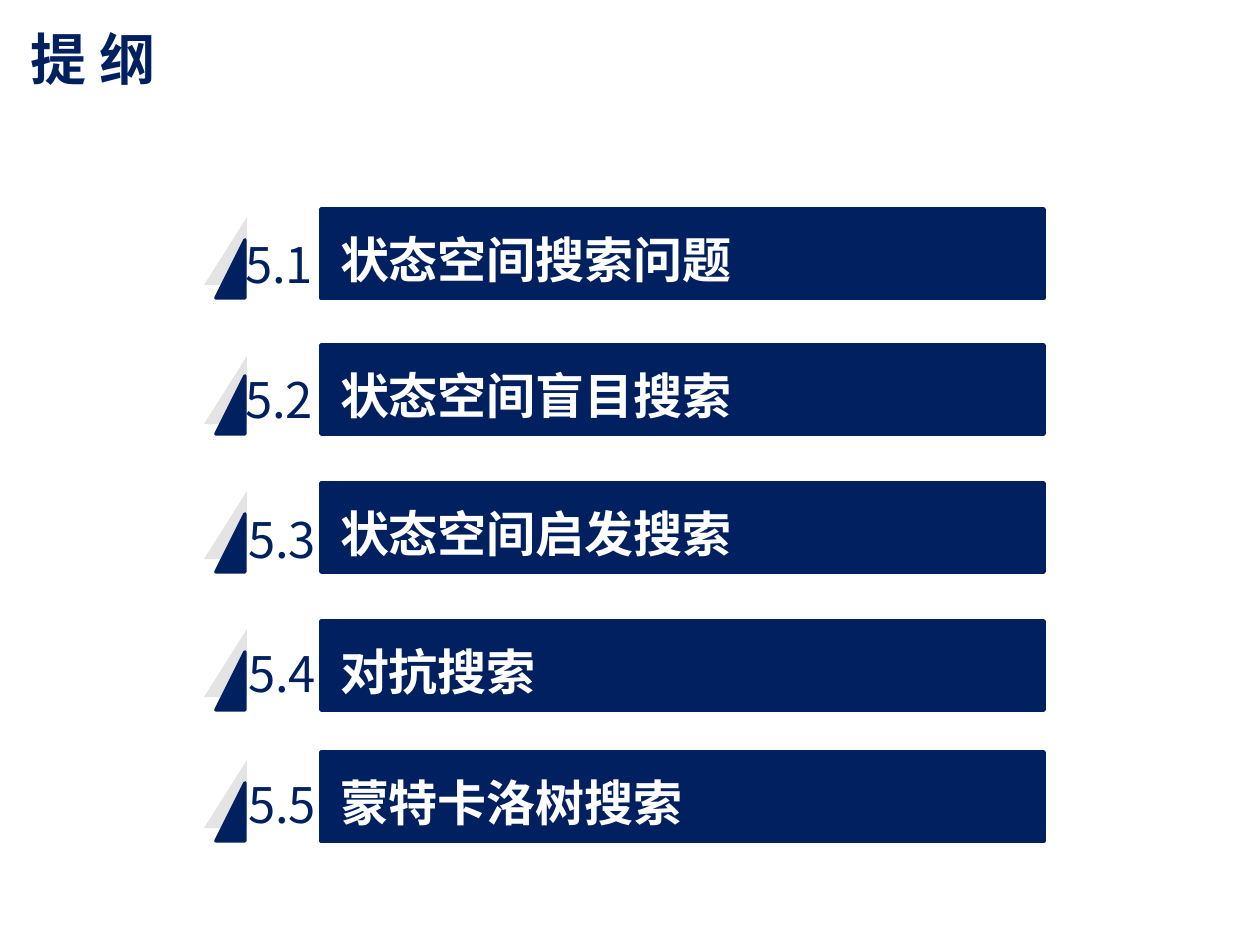
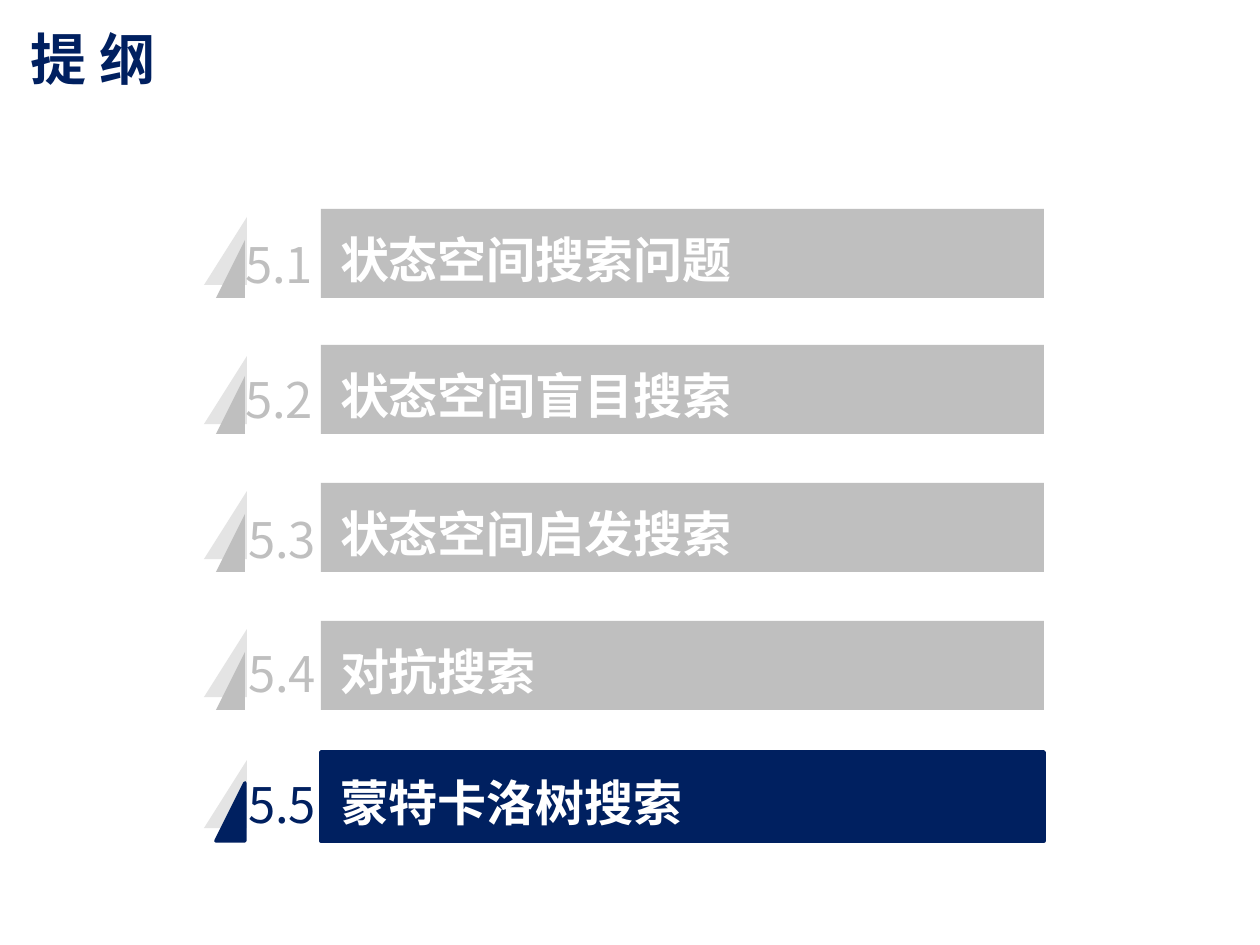
from dataclasses import dataclass

from lxml import etree
from pptx import Presentation
from pptx.dml.color import RGBColor
from pptx.enum.text import MSO_ANCHOR, PP_ALIGN
from pptx.oxml.ns import qn
from pptx.util import Pt

PX = 914400 / 126  # EMU in one pixel
MIDDLE = MSO_ANCHOR.MIDDLE
LEFT, CENTER = PP_ALIGN.LEFT, PP_ALIGN.CENTER


@dataclass(frozen=True)
class Theme:
    navy: RGBColor = RGBColor(0x00, 0x20, 0x60)
    muted: RGBColor = RGBColor(0xBF, 0xBF, 0xBF)
    shade: RGBColor = RGBColor(0xE4, 0xE4, 0xE4)
    white: RGBColor = RGBColor(0xFF, 0xFF, 0xFF)
    font: str = "Noto Sans CJK SC"
    title_size: int = 32
    item_size: int = 28
    line_spacing: float = 1.2
    outline: int = 2


THEME = Theme()
ROW_LEFT, ROW_WIDTH, ROW_HEIGHT = 204, 840, 89


@dataclass(frozen=True)
class Section:
    number: str
    name: str
    top: int
    shade_drop: int = 8
    number_left: int = 37
    number_drop: int = 8


SECTIONS = [
    Section("5.1", "状态空间搜索问题", 209, number_left=34, number_drop=11),
    Section("5.2", "状态空间盲目搜索", 345, 11, number_left=34, number_drop=10),
    Section("5.3", "状态空间启发搜索", 483, number_drop=12),
    Section("5.4", "对抗搜索", 621),
    Section("5.5", "蒙特卡洛树搜索", 752),
]


def px(length):
    return round(length * PX)


def write(shape, text, size, color, bold=False, align=LEFT, spacing=None):
    frame = shape.text_frame
    frame.text = text
    frame.word_wrap = True
    frame.vertical_anchor = MIDDLE
    paragraph = frame.paragraphs[0]
    paragraph.alignment = align
    paragraph.line_spacing = spacing
    font = paragraph.runs[0].font
    font.size, font.bold, font.name = Pt(size), bold, THEME.font
    font.color.rgb = color
    # East Asian glyphs take their own typeface
    properties = paragraph.runs[0]._r.get_or_add_rPr()
    etree.SubElement(properties, qn("a:ea"), typeface=THEME.font)


def set_margins(shape, left=0):
    frame = shape.text_frame
    frame.margin_left = px(left)
    frame.margin_top = frame.margin_right = frame.margin_bottom = 0


def add_textbox(slide, left, top, width, height):
    return slide.shapes.add_textbox(px(left), px(top), px(width), px(height))


def add_outline(slide, contours, fill, outlined=False):
    """Draw closed contours as one filled shape."""
    builder = slide.shapes.build_freeform(*contours[0][0], scale=PX)
    for index, (start, *points) in enumerate(contours):
        if index:
            builder.move_to(*start)
        builder.add_line_segments(points, close=True)
    shape = builder.convert_to_shape()
    shape.shadow.inherit = False
    shape.fill.solid()
    shape.fill.fore_color.rgb = fill
    if outlined:
        shape.line.color.rgb = fill
        shape.line.width = Pt(THEME.outline)
        etree.SubElement(shape._element.spPr.find(qn("a:ln")), qn("a:round"))
    else:
        shape.line.fill.background()
    return shape


def corner(left, top, right, bottom):
    return [(right, top), (right, bottom), (left, bottom)]


def add_title(slide, text):
    title = add_textbox(slide, 18, 19, 1191, 78)
    write(title, text, THEME.title_size, THEME.navy, bold=True)


def add_section(slide, section, left, width, height, active):
    top, right, bottom = section.top, left + width, section.top + height
    color = THEME.navy if active else THEME.muted

    # Pale triangle behind
    shade_top = top + section.shade_drop
    add_outline(slide, [corner(left, shade_top, left + 43, shade_top + 68)],
                THEME.shade)

    # Front triangle and bar, one shape
    bar_left = left + 117
    bar_contour = [(bar_left, top), (right, top), (right, bottom), (bar_left, bottom)]
    triangle = corner(left + 12, top + 31, left + 41, bottom)
    bar = add_outline(slide, [triangle, bar_contour], color, outlined=active)
    set_margins(bar, left=124)
    write(bar, section.name, THEME.item_size, THEME.white, bold=True,
          spacing=THEME.line_spacing)

    # Section number
    number = add_textbox(slide, left + section.number_left,
                         top + section.number_drop, 82, 76)
    set_margins(number)
    write(number, section.number, THEME.item_size, color, align=CENTER,
          spacing=THEME.line_spacing)


def add_outline_slide(presentation, active_numbers):
    slide = presentation.slides.add_slide(presentation.slide_layouts[6])
    add_title(slide, "提 纲")
    for section in SECTIONS:
        add_section(slide, section, ROW_LEFT, ROW_WIDTH, ROW_HEIGHT,
                    section.number in active_numbers)


def main():
    presentation = Presentation()
    presentation.slide_width, presentation.slide_height = px(1260), px(945)
    add_outline_slide(presentation, [section.number for section in SECTIONS])
    add_outline_slide(presentation, ["5.5"])
    presentation.save("out.pptx")


if __name__ == "__main__":
    main()
